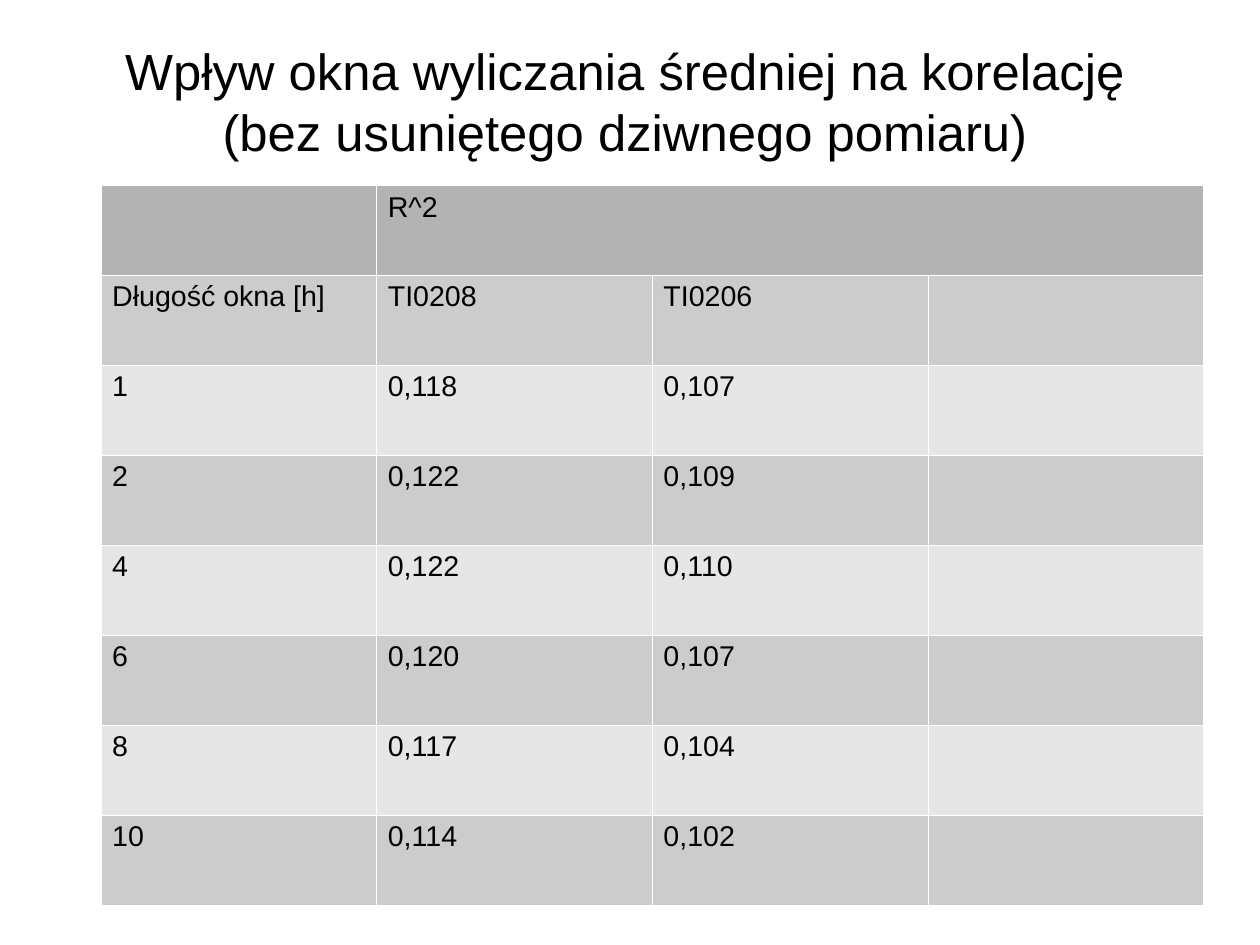
from lxml import etree
from pptx import Presentation
from pptx import util as u
from pptx.dml.color import RGBColor
from pptx.enum import text
from pptx.oxml.ns import qn

PX = 3600  # ten px to the millimetre
FONT = "Arial"
BLACK, WHITE = "000000", "FFFFFF"
HEAD, DARK, LIGHT = "B3B3B3", "CCCCCC", "E6E6E6"
EDGE = u.Pt(0.06)

TITLE = "Wpływ okna wyliczania średniej na korelację\v(bez usuniętego dziwnego pomiaru)"
ROWS = [
    ["", "R^2"],
    ["Długość okna [h]", "TI0208", "TI0206"],
    ["1", "0,118", "0,107"],
    ["2", "0,122", "0,109"],
    ["4", "0,122", "0,110"],
    ["6", "0,120", "0,107"],
    ["8", "0,117", "0,104"],
    ["10", "0,114", "0,102"],
]
COLS = 4


def px(*sizes):
    return [u.Emu(size * PX) for size in sizes]


def color(code):
    return RGBColor.from_string(code)


def style(par, size):
    for font in [par.font] + [run.font for run in par.runs]:
        font.name = FONT
        font.size = u.Pt(size)
        font.color.rgb = color(BLACK)


def add_title(slide, words, box):
    frame = slide.shapes.add_textbox(*px(*box)).text_frame
    frame.word_wrap = True
    frame.vertical_anchor = text.MSO_ANCHOR.MIDDLE
    frame.margin_left = frame.margin_right = 0
    frame.margin_top = frame.margin_bottom = 0
    frame.text = words
    par = frame.paragraphs[0]
    par.alignment = text.PP_ALIGN.CENTER
    style(par, 32)


def add_edges(cell):
    """Draw the four borders; they must come before the cell's fill."""
    props = cell._tc.get_or_add_tcPr()
    for side in ("a:lnL", "a:lnR", "a:lnT", "a:lnB"):
        line = etree.SubElement(props, qn(side), w=str(EDGE))
        fill = etree.SubElement(line, qn("a:solidFill"))
        etree.SubElement(fill, qn("a:srgbClr"), val=WHITE)


def fill_cell(cell, words, shade):
    add_edges(cell)
    cell.fill.solid()
    cell.fill.fore_color.rgb = color(shade)
    cell.text = words
    style(cell.text_frame.paragraphs[0], 18)


def add_grid(slide, rows, box):
    grid = slide.shapes.add_table(len(rows), COLS, *px(*box)).table
    for r, row in enumerate(rows):
        shade = HEAD if r == 0 else DARK if r % 2 else LIGHT
        for c in range(COLS):
            words = row[c] if c < len(row) else ""
            fill_cell(grid.cell(r, c), words, shade)
    grid.cell(0, 1).merge(grid.cell(0, COLS - 1))


def main():
    deck = Presentation()
    deck.slide_width, deck.slide_height = px(2800, 2100)
    slide = deck.slides.add_slide(deck.slide_layouts[6])
    add_title(slide, TITLE, (130, 48, 2520, 351))
    add_grid(slide, ROWS, (224, 412, 2450, 1599))
    deck.save("out.pptx")


if __name__ == "__main__":
    main()
